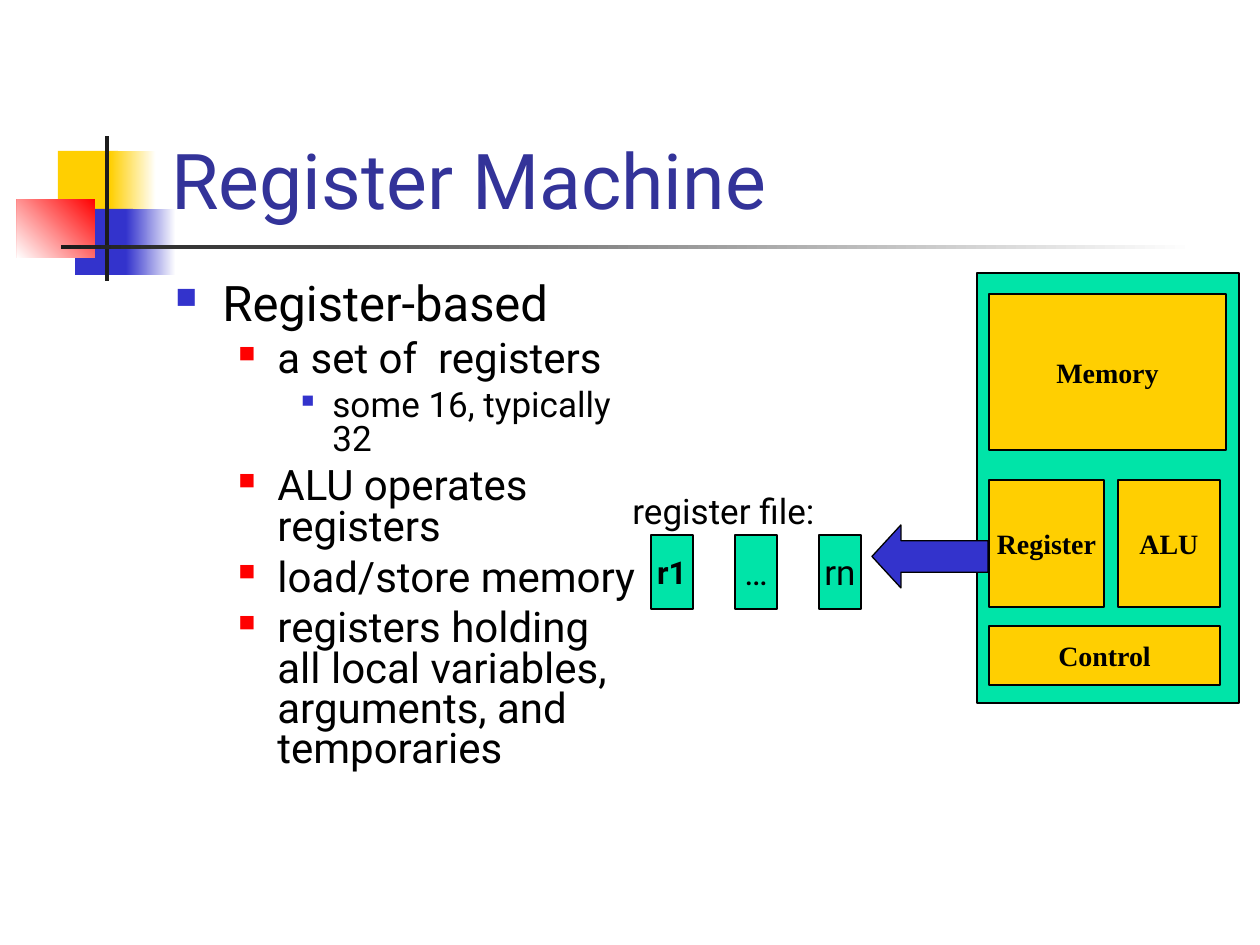
from dataclasses import dataclass

from lxml.etree import SubElement
from pptx import Presentation
from pptx.dml.color import RGBColor
from pptx.enum.shapes import MSO_SHAPE
from pptx.enum.text import MSO_ANCHOR, PP_ALIGN
from pptx.oxml.ns import qn
from pptx.util import Pt

EMU_PER_PX = 914400 / 126


@dataclass(frozen=True)
class Theme:
    yellow: str = "FFCF01"
    blue: str = "3333CC"
    red: str = "FF0000"
    green: str = "00E4A8"
    dark: str = "1C1C1C"
    title: str = "333399"
    ink: str = "000000"
    white: str = "FFFFFF"
    sans: str = "Roboto"
    serif: str = "Times New Roman"
    title_size: int = 44
    body_sizes: tuple = (28, 24, 20)
    note_size: int = 20
    bold_register_size: int = 18
    unit_size: int = 16
    outline: float = 0.75


THEME = Theme()


def px(length):
    return round(length * EMU_PER_PX)


def write(paragraph, text, *, size, color=THEME.ink, face=THEME.sans, bold=False, align=PP_ALIGN.LEFT):
    paragraph.alignment = align
    run = paragraph.add_run()
    run.text = text
    run.font.size = Pt(size)
    run.font.name = face
    run.font.bold = bold
    run.font.color.rgb = RGBColor.from_string(color)


class SlideBuilder:
    """Draws styled elements on one slide, measured in px."""

    def __init__(self, slide, theme):
        self.slide = slide
        self.theme = theme

    def block(self, box, color, kind=MSO_SHAPE.RECTANGLE, outlined=True):
        block = self.slide.shapes.add_shape(kind, *map(px, box))
        block.shadow.inherit = False
        block.fill.solid()
        block.fill.fore_color.rgb = RGBColor.from_string(color)
        if outlined:
            block.line.color.rgb = RGBColor.from_string(self.theme.ink)
            block.line.width = Pt(self.theme.outline)
        else:
            block.line.fill.background()
        return block

    def fade(self, box, color, angle=0):
        band = self.block(box, color, outlined=False)
        band.fill.gradient()
        band.fill.gradient_angle = angle
        for stop, shade in zip(band.fill.gradient_stops, (color, self.theme.white)):
            stop.color.rgb = RGBColor.from_string(shade)

    def labelled(self, box, color, label, **style):
        frame = self.block(box, color).text_frame
        frame.word_wrap = False
        frame.vertical_anchor = MSO_ANCHOR.MIDDLE
        write(frame.paragraphs[0], label, align=PP_ALIGN.CENTER, **style)

    def text_area(self, box, anchor=MSO_ANCHOR.TOP):
        frame = self.slide.shapes.add_textbox(*map(px, box)).text_frame
        frame.word_wrap = True
        frame.vertical_anchor = anchor
        return frame

    def text(self, box, words, anchor=MSO_ANCHOR.TOP, **style):
        write(self.text_area(box, anchor).paragraphs[0], words, **style)

    def bullets(self, box, items):
        levels = (
            (47, 47, 60, self.theme.blue, 7),
            (102, 39, 55, self.theme.red, 6),
            (157, 31, 50, self.theme.blue, 5),
        )
        frame = self.text_area(box)
        for index, (level, words) in enumerate(items):
            margin, hang, percent, color, gap = levels[level]
            item = frame.add_paragraph() if index else frame.paragraphs[0]
            properties = item._p.get_or_add_pPr()
            properties.set("marL", str(px(margin)))
            properties.set("indent", str(px(-hang)))
            bullet_color = SubElement(properties, qn("a:buClr"))
            SubElement(bullet_color, qn("a:srgbClr"), val=color)
            SubElement(properties, qn("a:buSzPct"), val=str(percent * 1000))
            SubElement(properties, qn("a:buChar"), char="■")
            item.level = level
            item.line_spacing = 0.8
            if index:
                item.space_before = Pt(gap)
            write(item, words, size=self.theme.body_sizes[level])

    def arrow(self, box):
        arrow = self.block(box, self.theme.blue, MSO_SHAPE.LEFT_ARROW)
        arrow.adjustments[0] = 0.5
        arrow.adjustments[1] = 0.46


def main():
    deck = Presentation()
    deck.slide_width, deck.slide_height = px(1260), px(945)
    builder = SlideBuilder(deck.slides.add_slide(deck.slide_layouts[6]), THEME)

    builder.block((58, 151, 60, 66), THEME.yellow, outlined=False)
    builder.fade((110, 151, 46, 66), THEME.yellow)
    builder.block((75, 209, 58, 66), THEME.blue, outlined=False)
    builder.fade((126, 209, 50, 66), THEME.blue)
    builder.fade((17, 199, 78, 59), THEME.red, angle=225)
    builder.block((105, 136, 4, 145), THEME.dark, outlined=False)
    builder.fade((61, 245, 1134, 4), THEME.dark)
    builder.text((159, 29, 1074, 202), "Register Machine", MSO_ANCHOR.BOTTOM,
                 size=THEME.title_size, color=THEME.title)

    registers = (
        ("r1", THEME.bold_register_size, True),
        ("…", THEME.note_size, False),
        ("rn", THEME.note_size, False),
    )
    for column, (name, size, bold) in enumerate(registers):
        builder.labelled((651 + 84 * column, 535, 42, 74), THEME.green, name, size=size, bold=bold)
    builder.text((620, 483, 220, 97), "register file:", size=THEME.note_size)

    builder.block((977, 273, 262, 430), THEME.green)
    units = (
        ("Memory", (989, 294, 237, 156)),
        ("Register", (989, 480, 115, 127)),
        ("ALU", (1118, 480, 102, 127)),
        ("Control", (989, 626, 231, 59)),
    )
    for name, box in units:
        builder.labelled(box, THEME.yellow, name, size=THEME.unit_size, face=THEME.serif, bold=True)
    builder.arrow((872, 525, 116, 63))

    builder.bullets((163, 278, 488, 567), (
        (0, "Register-based"),
        (1, "a set of  registers"),
        (2, "some 16, typically 32"),
        (1, "ALU operates registers"),
        (1, "load/store memory"),
        (1, "registers holding all local variables, arguments, and temporaries"),
    ))
    deck.save("out.pptx")


if __name__ == "__main__":
    main()
